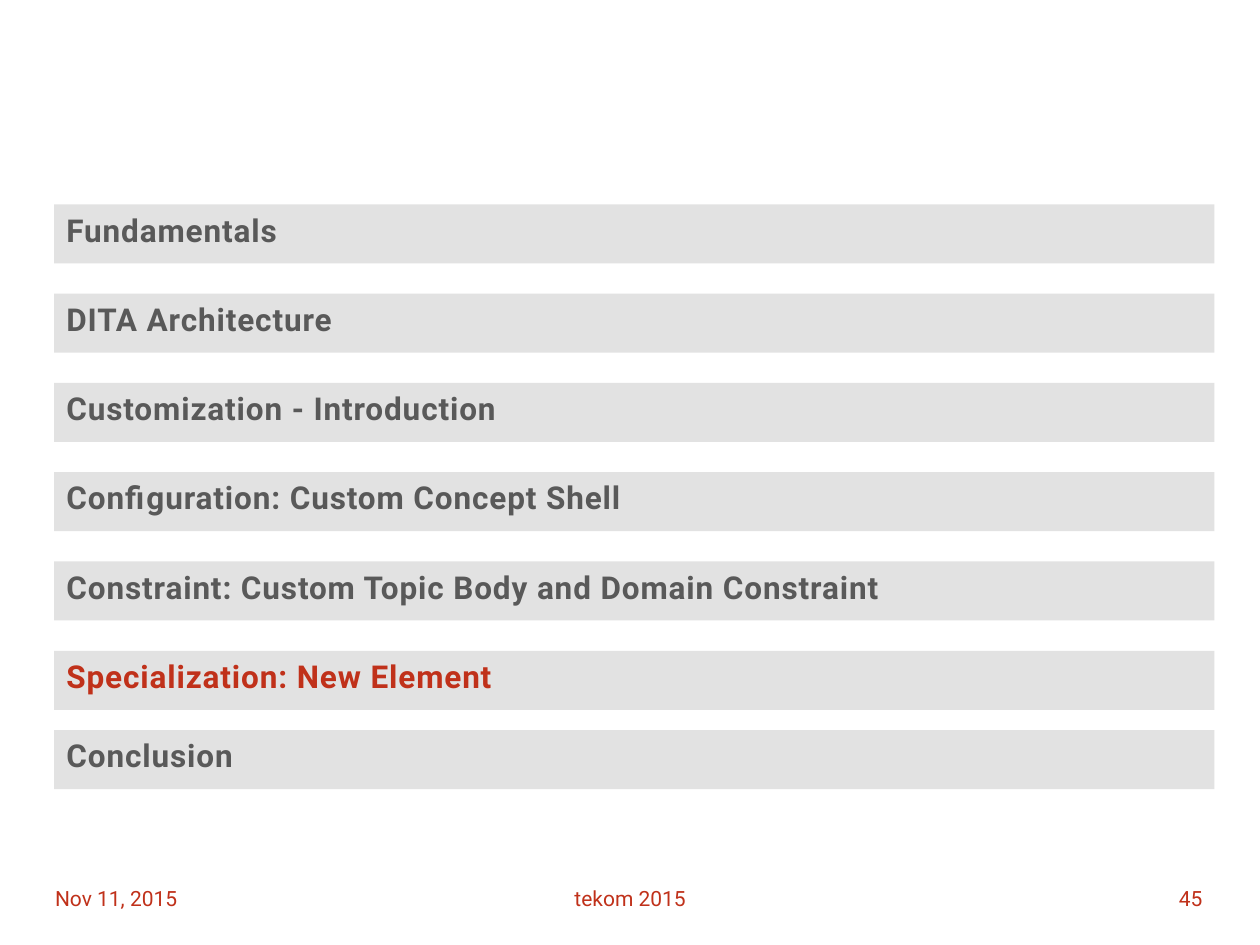
from dataclasses import dataclass

import pptx
import pptx.dml.color
import pptx.enum.shapes
import pptx.enum.text
import pptx.util

Cm = pptx.util.Cm
ALIGN = pptx.enum.text.PP_ALIGN
ANCHOR = pptx.enum.text.MSO_ANCHOR

FONT = "Roboto"
RED, GREY, BAR = "C0311A", "595959", "E2E2E2"

# Agenda grid, in cm
BAR_LEFT, BAR_TOP, BAR_WIDTH, BAR_HEIGHT = 1.09, 4.12, 23.39, 1.19
BAR_STEP, LAST_STEP = 1.8, 1.6
FOOTER_TOP, FOOTER_HEIGHT = 17.6, 1.02


@dataclass
class Footer:
    text: str
    left: float
    width: float
    align: ALIGN


AGENDA = [
    "Fundamentals",
    "DITA Architecture",
    "Customization - Introduction",
    "Configuration: Custom Concept Shell",
    "Constraint: Custom Topic Body and Domain Constraint",
    "Specialization: New Element",
    "Conclusion",
]
CURRENT = "Specialization: New Element"

FOOTERS = [
    Footer("tekom 2015", 8.97, 7.47, ALIGN.CENTER),
    Footer("Nov 11, 2015", 0.86, 5.92, ALIGN.LEFT),
    Footer("45", 18.57, 5.92, ALIGN.RIGHT),
]


def rgb(value: str) -> pptx.dml.color.RGBColor:
    return pptx.dml.color.RGBColor.from_string(value)


def set_text(sp, text: str, *, size: float, color: str, bold: bool = False,
             align=ALIGN.LEFT, anchor=ANCHOR.TOP, spacing: float = 0) -> None:
    """Write one formatted line; spacing is the letter spacing in points."""
    tf = sp.text_frame
    tf.word_wrap = True
    tf.vertical_anchor = anchor
    p = tf.paragraphs[0]
    p.alignment = align
    r = p.add_run()
    r.text = text
    r.font.name = FONT
    r.font.size = pptx.util.Pt(size)
    r.font.bold = bold
    r.font.color.rgb = rgb(color)
    if spacing:
        r.font._element.set("spc", str(round(spacing * 100)))


def add_footer(s, footer: Footer) -> None:
    sp = s.shapes.add_textbox(Cm(footer.left), Cm(FOOTER_TOP),
                              Cm(footer.width), Cm(FOOTER_HEIGHT))
    set_text(sp, footer.text, size=12, color=RED, align=footer.align,
             anchor=ANCHOR.MIDDLE)


def add_bar(s, text: str, top: float) -> None:
    sp = s.shapes.add_shape(pptx.enum.shapes.MSO_SHAPE.RECTANGLE, Cm(BAR_LEFT),
                            Cm(top), Cm(BAR_WIDTH), Cm(BAR_HEIGHT))
    sp.shadow.inherit = False
    sp.fill.solid()
    sp.fill.fore_color.rgb = rgb(BAR)
    sp.line.fill.background()
    set_text(sp, text, size=18, color=RED if text == CURRENT else GREY,
             bold=True, spacing=0.5)


def main() -> None:
    prs = pptx.Presentation()
    prs.slide_width, prs.slide_height = Cm(25.4), Cm(19.05)
    s = prs.slides.add_slide(prs.slide_layouts[6])

    # Footer line
    for footer in FOOTERS:
        add_footer(s, footer)

    # Agenda bars, the last one set slightly closer
    *items, last = AGENDA
    for i, text in enumerate(items):
        add_bar(s, text, BAR_TOP + i * BAR_STEP)
    add_bar(s, last, BAR_TOP + (len(items) - 1) * BAR_STEP + LAST_STEP)

    prs.save("out.pptx")


if __name__ == "__main__":
    main()
